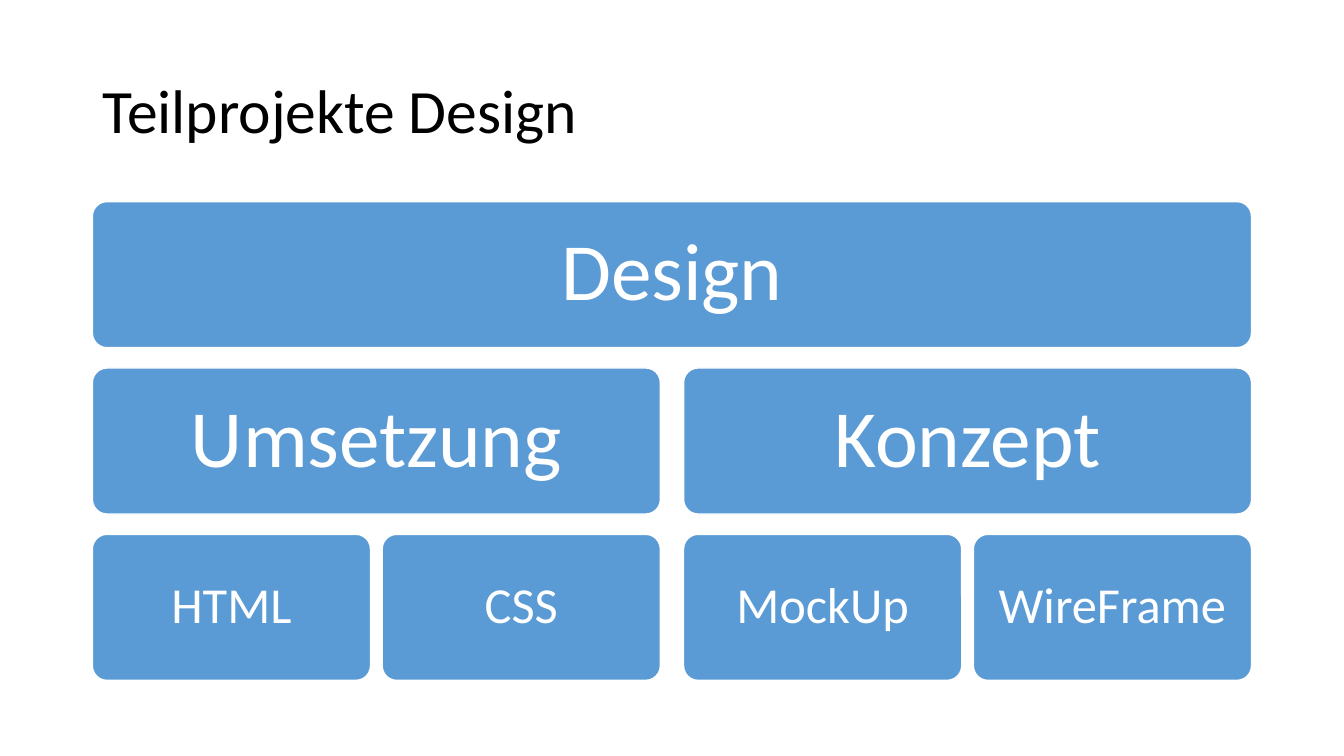
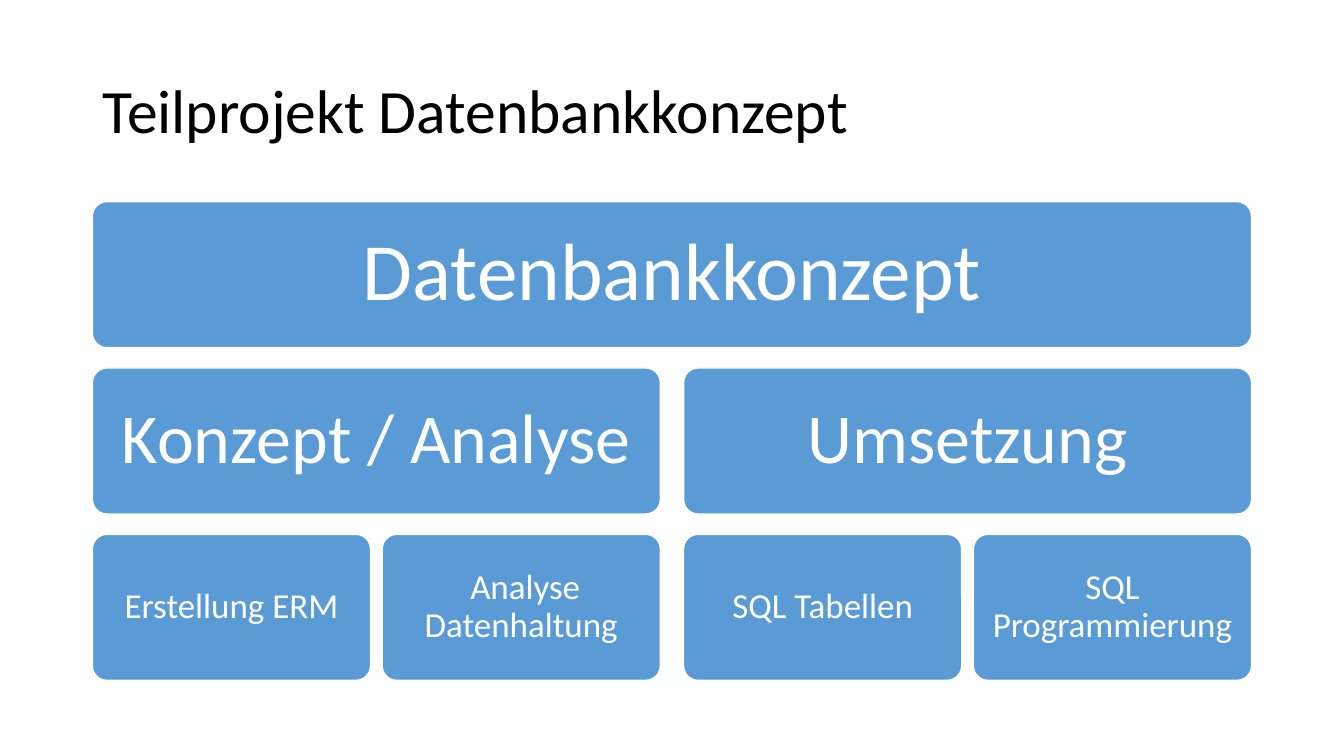
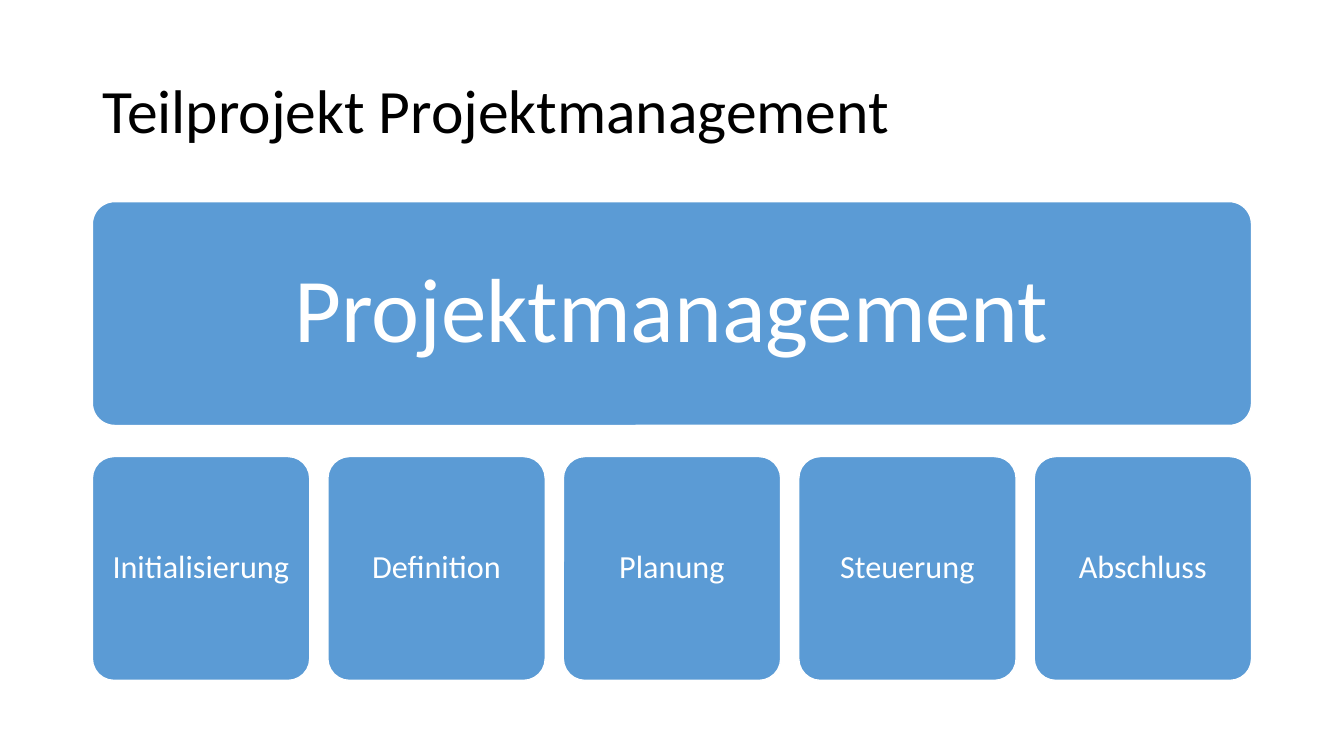
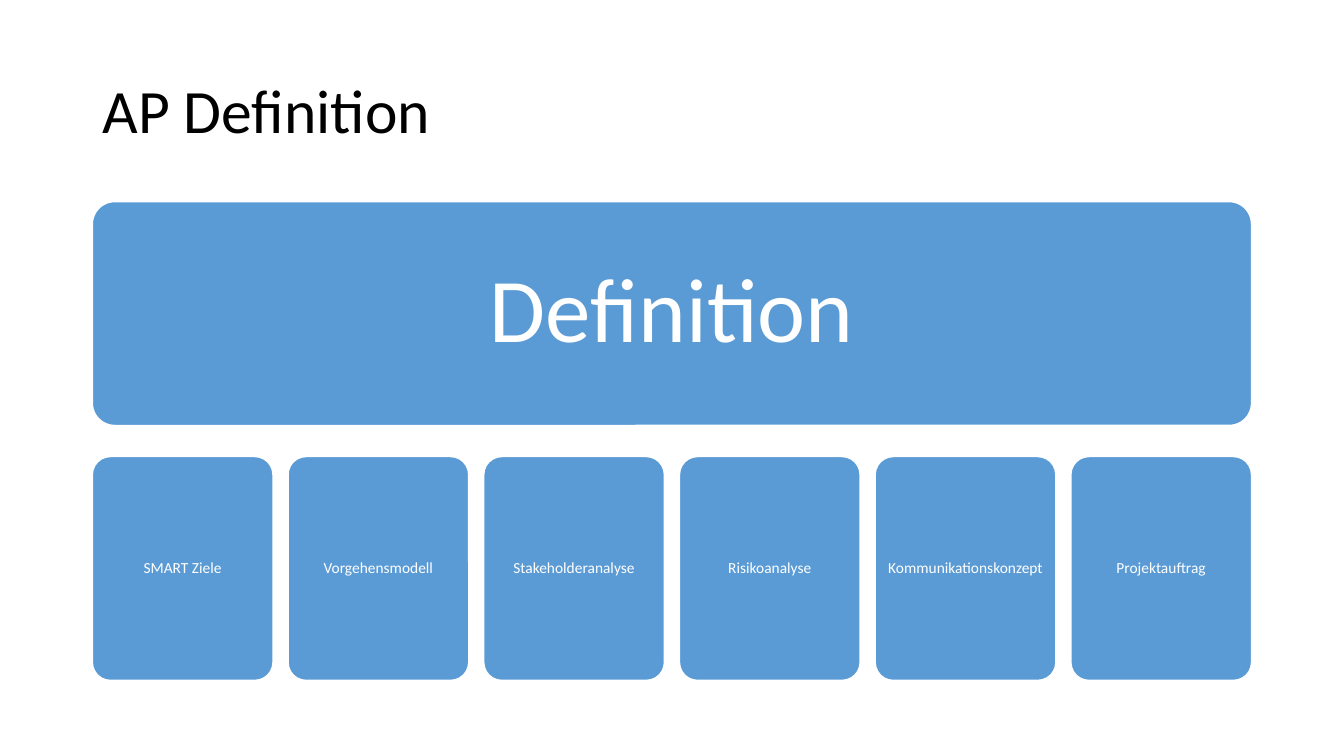
from pptx import Presentation
from pptx import util as u
from pptx.dml.color import RGBColor
from pptx.enum import shapes, text

WHITE, BLACK, BLUE = "FFFFFF", "000000", "5B9BD5"
FONT = "Calibri"
CELL = u.Inches(1 / 12)              # the slide is a grid of 160 x 90 cells
TITLE_AREA = (11, 4.8, 138, 17.4)    # left, top, width, height in cells
TREE_AREA = (11, 24, 138, 57)
LEAF_COLUMNS, GAP_COLUMNS = 24, (2, 1)   # gaps below the root, then below its children
BOX_ROWS, GAP_ROWS = 36, 5


def colour(value):
    """Turn a hex string into a colour."""
    return RGBColor.from_string(value)


def columns(node, level=0):
    """Count the tree columns that a node spans with all its children."""
    children = node[1:]
    if not children:
        return LEAF_COLUMNS
    gaps = GAP_COLUMNS[level] * (len(children) - 1)
    return gaps + sum(columns(child, level + 1) for child in children)


class Deck:
    """Holds the shared style and the current slide."""

    def __init__(self):
        """Start an empty widescreen presentation."""
        self.presentation = Presentation()
        self.presentation.slide_width = 160 * CELL
        self.presentation.slide_height = 90 * CELL
        self.slide = None

    def place(self, shape, area):
        """Move a shape to an area given in cells."""
        shape.left, shape.top, shape.width, shape.height = (
            round(length * CELL) for length in area)

    def label(self, shape, words, size, ink, alignment):
        """Put one vertically centred paragraph into a shape."""
        frame = shape.text_frame
        frame.word_wrap = True
        frame.auto_size = text.MSO_AUTO_SIZE.NONE
        frame.vertical_anchor = text.MSO_ANCHOR.MIDDLE
        paragraph = frame.paragraphs[0]
        paragraph.alignment = alignment
        paragraph.line_spacing = 0.9
        run = paragraph.add_run()
        run.text = words
        run.font.name = FONT
        run.font.size = u.Pt(size)
        run.font.color.rgb = colour(ink)

    def add_slide(self, title):
        """Add a white slide with its title."""
        self.slide = self.presentation.slides.add_slide(
            self.presentation.slide_layouts[5])
        self.place(self.slide.shapes.title, TITLE_AREA)
        self.label(self.slide.shapes.title, title, 44, BLACK, text.PP_ALIGN.LEFT)

    def box(self, words, area, size):
        """Draw a rounded blue box whose margins follow the text size."""
        shape = self.slide.shapes.add_shape(
            shapes.MSO_SHAPE.ROUNDED_RECTANGLE, 0, 0, CELL, CELL)
        self.place(shape, area)
        shape.adjustments[0] = 0.1
        shape.shadow.inherit = False
        shape.fill.solid()
        shape.fill.fore_color.rgb = colour(BLUE)
        shape.line.color.rgb = colour(WHITE)
        shape.line.width = u.Pt(1)
        frame = shape.text_frame
        frame.margin_left = frame.margin_right = u.Pt(0.3 * size)
        frame.margin_top = frame.margin_bottom = u.Pt(0.3 * size)
        self.label(shape, words, size, WHITE, text.PP_ALIGN.CENTER)

    def tree(self, root, sizes):
        """Stack a tree of boxes, with one text size for each level."""
        left, top, width, height = TREE_AREA
        column = width / columns(root)
        row = height / (len(sizes) * (BOX_ROWS + GAP_ROWS) - GAP_ROWS)

        def branch(node, start, level):
            """Draw a node, then its children side by side below it."""
            self.box(node[0], (left + start * column,
                               top + level * (BOX_ROWS + GAP_ROWS) * row,
                               columns(node, level) * column,
                               BOX_ROWS * row), sizes[level])
            for child in node[1:]:
                branch(child, start, level + 1)
                start += columns(child, level + 1) + GAP_COLUMNS[level]

        branch(root, 0, 0)


SLIDES = [
    ("Teilprojekte Design", (58, 58, 36),
     ("Design",
      ("Umsetzung", ("HTML",), ("CSS",)),
      ("Konzept", ("MockUp",), ("WireFrame",)))),
    ("Teilprojekt Datenbankkonzept", (58, 50, 25),
     ("Datenbankkonzept",
      ("Konzept / Analyse", ("Erstellung ERM",), (" Analyse Datenhaltung",)),
      ("Umsetzung", ("SQL Tabellen",), ("SQL Programmierung",)))),
    ("Teilprojekt Projektmanagement", (65, 23),
     ("Projektmanagement", ("Initialisierung",), ("Definition",),
      ("Planung",), ("Steuerung",), ("Abschluss",))),
    ("AP Definition", (65, 11),
     ("Definition", ("SMART Ziele",), ("Vorgehensmodell",),
      ("Stakeholderanalyse",), ("Risikoanalyse",),
      ("Kommunikationskonzept",), ("Projektauftrag",))),
]

deck = Deck()
for title, sizes, root in SLIDES:
    deck.add_slide(title)
    deck.tree(root, sizes)
deck.presentation.save("out.pptx")
